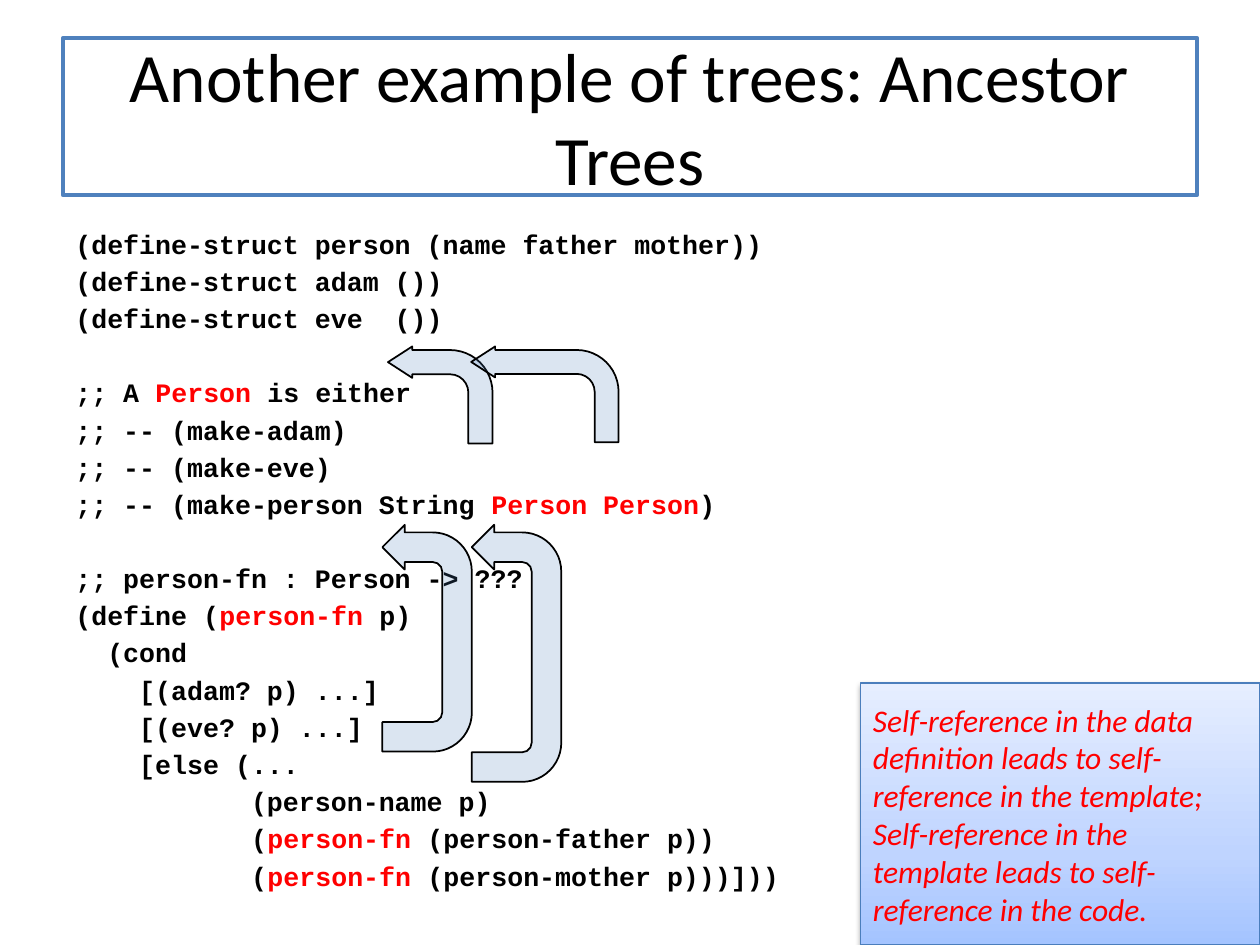
from copy import deepcopy

from pptx import Presentation
from pptx.dml.color import RGBColor
from pptx.enum.shapes import MSO_SHAPE as Shape
from pptx.enum.text import MSO_ANCHOR as Anchor, MSO_AUTO_SIZE as AutoSize, PP_ALIGN as Align
from pptx.oxml import parse_xml
from pptx.oxml.ns import nsdecls, qn
from pptx.util import Inches, Pt

TITLE = "Another example of trees: Ancestor Trees"
CODE_BLOCKS = [
    """(define-struct person (name father mother))
(define-struct adam ())
(define-struct eve  ())""",
    """;; A *Person* is either
;; -- (make-adam)
;; -- (make-eve)
;; -- (make-person String *Person Person*)""",
    """;; person-fn : Person -> ???
(define (*person-fn* p)
  (cond
    [(adam? p) ...]
    [(eve? p) ...]
    [else (...
           (person-name p)
           (*person-fn* (person-father p))
           (*person-fn* (person-mother p)))]))""",
]
NOTES = [
    "Self-reference in the data definition leads to self-reference in the template;",
    "Self-reference in the template leads to self-reference in the code.",
]
BENT = (0.25, 0.162, 0.25, 0.438)
UTURN = (0.331, 0.25, 0.25, 0.438, 1)


def color(value):
    return RGBColor.from_string(value)


def add_text(para, text, font="Calibri", size=18, ink="000000", bold=False, italic=False):
    span = para.add_run()
    span.text = text
    span.font.name = font
    span.font.size = Pt(size)
    span.font.color.rgb = color(ink)
    span.font.bold = bold
    span.font.italic = italic


def paragraph_at(frame, index):
    return frame.add_paragraph() if index else frame.paragraphs[0]


class SlideBuilder:
    accent = "4F81BD"
    red = "FF0000"
    code_size = 15.2
    code_gap = 3.04
    code_pitch = 21

    def __init__(self, deck):
        self.page = deck.slides.add_slide(deck.slide_layouts[5])

    def title(self, text, left, top, width, height):
        box = self.page.shapes.title
        box.left, box.top, box.width, box.height = map(Inches, (left, top, width, height))
        box.fill.solid()
        box.fill.fore_color.rgb = color("FFFFFF")
        box.line.color.rgb = color(self.accent)
        box.line.width = Pt(2.25)
        frame = box.text_frame
        frame.auto_size = AutoSize.NONE
        frame.vertical_anchor = Anchor.MIDDLE
        frame.paragraphs[0].alignment = Align.CENTER
        add_text(frame.paragraphs[0], text, size=39.6)

    def code(self, blocks, left, top, width, height):
        box = self.page.shapes.add_textbox(*map(Inches, (left, top, width, height)))
        frame = box.text_frame
        frame.word_wrap = True
        index = 0
        for block in blocks:
            for row, line in enumerate(block.split("\n")):
                para = paragraph_at(frame, index)
                if index:
                    para.space_before = Pt(self.code_gap + (0 if row else self.code_pitch))
                for part, text in enumerate(line.split("*")):
                    add_text(para, text, font="Courier New", size=self.code_size, bold=True,
                             ink=self.red if part % 2 else "000000")
                index += 1

    def arrow(self, kind, left, top, width, height, adjustments, rotation=0):
        arrow = self.page.shapes.add_shape(kind, *map(Inches, (left, top, width, height)))
        arrow.shadow.inherit = False
        arrow.rotation = rotation
        arrow._element.spPr.find(qn("a:xfrm")).set("flipH", "1")
        for index, value in enumerate(adjustments):
            arrow.adjustments[index] = value
        arrow.fill.solid()
        arrow.fill.fore_color.rgb = color(self.accent)
        tint = arrow._element.spPr.find(qn("a:solidFill"))[0]
        tint.append(parse_xml(f'<a:alpha {nsdecls("a")} val="20000"/>'))
        arrow.line.color.rgb = color("000000")
        arrow.line.width = Pt(1)

    def callout(self, notes, left, top, width, height):
        box = self.page.shapes.add_shape(
            Shape.RECTANGLE, *map(Inches, (left, top, width, height)))
        box.fill.gradient()
        box.fill.gradient_angle = 90
        stops = box._element.spPr.find(qn("a:gradFill")).find(qn("a:gsLst"))
        stops.append(deepcopy(stops[-1]))
        shades = [(0, "A4C4FF"), (0.35, "BFD4FF"), (1, "E6EEFF")]
        for stop, (position, shade) in zip(box.fill.gradient_stops, shades):
            stop.position = position
            stop.color.rgb = color(shade)
        box.line.color.rgb = color("4B7EBC")
        box.line.width = Pt(0.75)
        box.shadow.inherit = False
        box._element.spPr.find(qn("a:effectLst")).append(parse_xml(
            f'<a:outerShdw {nsdecls("a")} blurRad="40000" dist="20000" dir="5400000"'
            ' rotWithShape="0"><a:srgbClr val="000000"><a:alpha val="38000"/>'
            '</a:srgbClr></a:outerShdw>'))
        frame = box.text_frame
        frame.word_wrap = True
        frame.vertical_anchor = Anchor.MIDDLE
        for index, note in enumerate(notes):
            para = paragraph_at(frame, index)
            para.alignment = Align.LEFT
            add_text(para, note, ink=self.red, italic=True)


def main():
    deck = Presentation()
    deck.slide_width, deck.slide_height = Inches(10), Inches(7.5)
    slide = SlideBuilder(deck)
    slide.title(TITLE, 0.5, 0.3, 9, 1.25)
    slide.code(CODE_BLOCKS, 0.5, 1.76, 9, 4.95)
    slide.arrow(Shape.BENT_ARROW, 3.08, 2.75, 0.83, 0.77, BENT)
    slide.arrow(Shape.BENT_ARROW, 3.74, 2.75, 1.17, 0.76, BENT)
    slide.arrow(Shape.U_TURN_ARROW, 2.49, 4.71, 1.8, 0.71, UTURN, rotation=90)
    slide.callout(NOTES, 6.83, 5.42, 3.17, 2.08)
    slide.arrow(Shape.U_TURN_ARROW, 3.08, 4.83, 2.04, 0.71, UTURN, rotation=90)
    deck.save("out.pptx")


if __name__ == "__main__":
    main()
